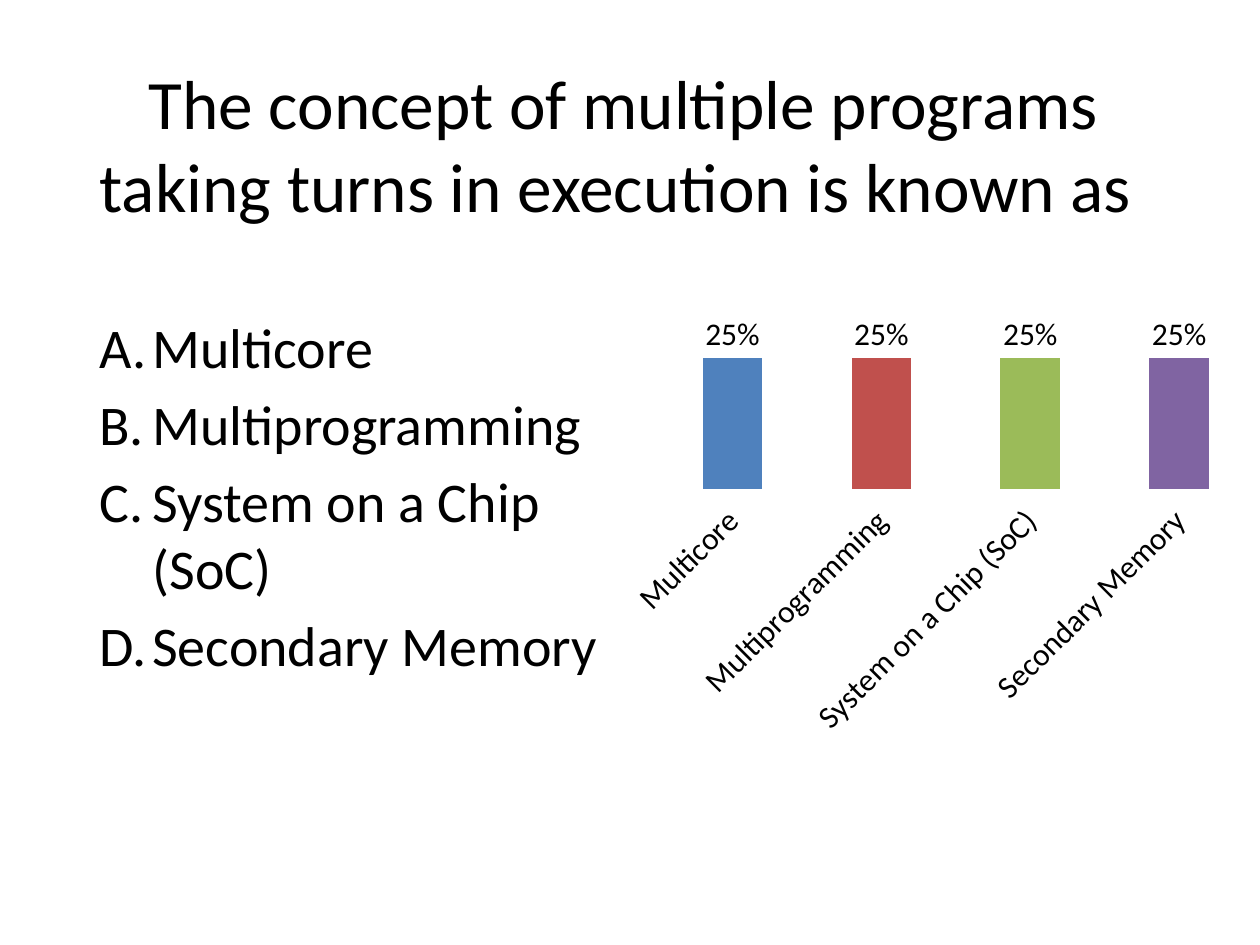
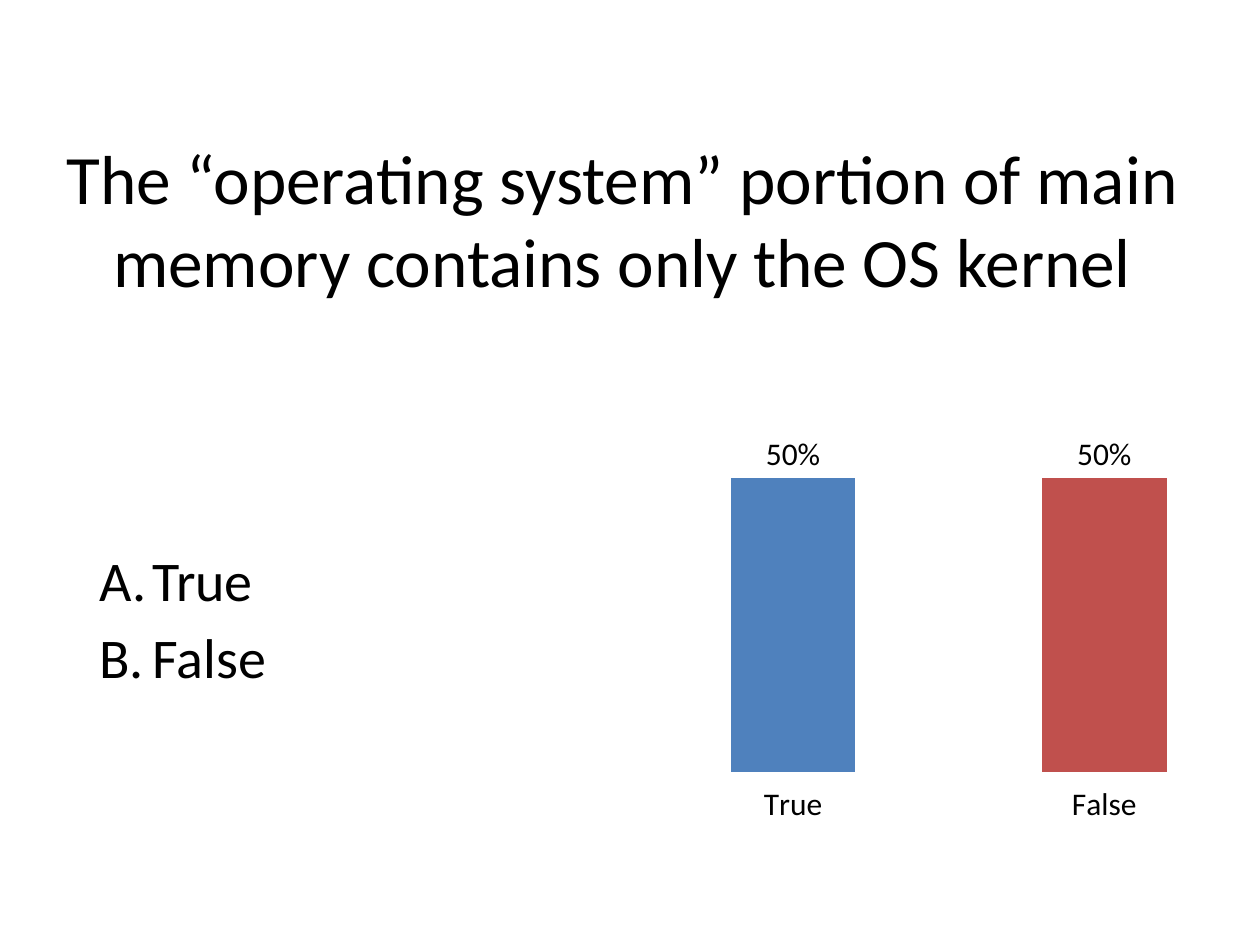
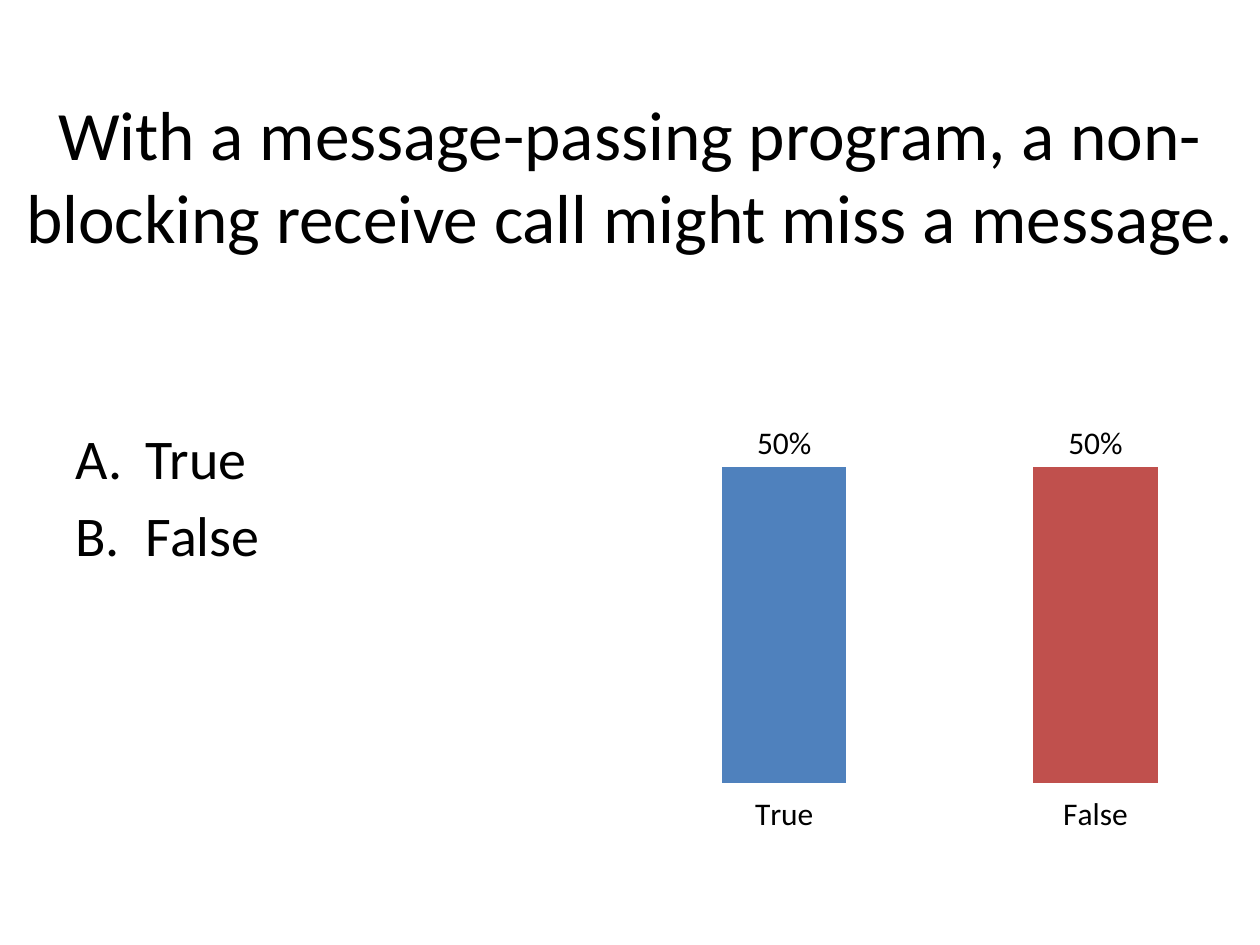
from lxml import etree
from pptx import Presentation
from pptx.chart.data import CategoryChartData
from pptx.dml.color import RGBColor
from pptx.enum.chart import XL_CHART_TYPE, XL_LABEL_POSITION, XL_TICK_LABEL_POSITION
from pptx.enum.text import MSO_ANCHOR, PP_ALIGN
from pptx.oxml.ns import qn
from pptx.util import Inches, Pt

COLUMN = XL_CHART_TYPE.COLUMN_CLUSTERED
OUTSIDE = XL_LABEL_POSITION.OUTSIDE_END
HIDDEN = XL_TICK_LABEL_POSITION.NONE
MIDDLE = MSO_ANCHOR.MIDDLE
CENTER = PP_ALIGN.CENTER

FONT = "Calibri"
INK = "000000"
BARS = ["4F81BD", "C0504D", "9BBB59", "8064A2"]
TITLE_SIZE, BODY_SIZE, CHART_SIZE = 39.6, 32, 18
PLOT = {"xMode": "edge", "yMode": "edge", "x": 0.01, "y": 0.07, "w": 0.99, "h": 0.76}

POLLS = [
    {
        "title": "The concept of multiple programs taking turns in execution is known as ",
        "title_box": (0.45, 0.51, 9, 1.25),
        "answers": ["Multicore", "Multiprogramming", "System on a Chip (SoC)", "Secondary Memory"],
        "body_box": (0.69, 2.43, 4.31, 3.57),
        "chart_box": (4.95, 2.34, 5, 4.22),
        "tilt": -45,
    },
    {
        "title": "The “operating system” portion of main memory contains only the OS kernel",
        "title_box": (0.2, 0.71, 9.48, 2.72),
        "title_foot": 0.72,
        "answers": ["True", "False"],
        "body_box": (0.69, 4.28, 4.31, 1.72),
        "chart_box": (5, 3.03, 5, 4.22),
    },
    {
        "title": "With a message-passing program, a non-blocking receive call might miss a message.",
        "title_box": (0, 0.66, 10, 1.45),
        "answers": ["True", "False"],
        "body_box": (0.5, 3.31, 4.5, 3.39),
        "indent": 0.56,
        "chart_box": (4.93, 2.89, 5, 4.49),
    },
]


def color(code):
    return RGBColor.from_string(code)


def style(font, size):
    for name, value in {"name": FONT, "size": Pt(size)}.items():
        setattr(font, name, value)
    font.color.rgb = color(INK)


def add_frame(slide, box):
    frame = slide.shapes.add_textbox(*map(Inches, box)).text_frame
    frame.word_wrap = True
    return frame


def add_title(slide, box, text, foot=0.05):
    frame = add_frame(slide, box)
    frame.vertical_anchor = MIDDLE
    frame.margin_bottom = Inches(foot)
    para = frame.paragraphs[0]
    para.text = text
    para.alignment = CENTER
    style(para.font, TITLE_SIZE)


def add_answers(slide, box, answers, indent=0.42):
    frame = add_frame(slide, box)
    for i, answer in enumerate(answers):
        para = frame.add_paragraph() if i else frame.paragraphs[0]
        para.text = answer
        if i:
            para.space_before = Pt(5.5)
        props = para._p.get_or_add_pPr()
        props.set("marL", str(Inches(indent)))
        props.set("indent", str(-Inches(indent)))
        etree.SubElement(props, qn("a:buAutoNum"), type="alphaUcPeriod")
        style(para.font, BODY_SIZE)


def place_plot(chart):
    """Fix the outer bounds of the plot, axis labels included."""
    area = chart._chartSpace.chart.plotArea
    for old in area.findall(qn("c:layout")):
        area.remove(old)
    layout = etree.Element(qn("c:layout"))
    area.insert(0, layout)
    manual = etree.SubElement(layout, qn("c:manualLayout"))
    for tag, value in {"layoutTarget": "outer", **PLOT}.items():
        etree.SubElement(manual, qn("c:" + tag), val=str(value))


def add_votes(slide, box, answers, tilt=0):
    """Chart an equal share of the votes for each answer."""
    share = 1 / len(answers)
    data = CategoryChartData(number_format="0%")
    data.categories = answers
    data.add_series("Series 1", [share] * len(answers))
    chart = slide.shapes.add_chart(COLUMN, *map(Inches, box), data).chart
    chart.has_legend = chart.has_title = False
    style(chart.font, CHART_SIZE)
    place_plot(chart)

    scale = {"minimum_scale": 0, "maximum_scale": round(share * 1.2, 2),
             "has_major_gridlines": False, "tick_label_position": HIDDEN}
    for name, value in scale.items():
        setattr(chart.value_axis, name, value)
    for axis in (chart.category_axis, chart.value_axis):
        axis.format.line.fill.background()
    if tilt:
        style(chart.category_axis.tick_labels.font, CHART_SIZE)
        body = chart.category_axis._element.find(qn("c:txPr")).find(qn("a:bodyPr"))
        body.set("rot", str(tilt * 60000))

    plot = chart.plots[0]
    for name, value in {"gap_width": 150, "vary_by_categories": True, "has_data_labels": True}.items():
        setattr(plot, name, value)
    labels = {"show_value": True, "number_format": "0%",
              "number_format_is_linked": False, "position": OUTSIDE}
    for name, value in labels.items():
        setattr(plot.data_labels, name, value)
    for i in range(len(answers)):
        fill = plot.series[0].points[i].format.fill
        fill.solid()
        fill.fore_color.rgb = color(BARS[i])


def add_poll(deck, poll):
    slide = deck.slides.add_slide(deck.slide_layouts[6])
    answers = poll["answers"]
    add_votes(slide, poll["chart_box"], answers, poll.get("tilt", 0))
    add_title(slide, poll["title_box"], poll["title"], poll.get("title_foot", 0.05))
    add_answers(slide, poll["body_box"], answers, poll.get("indent", 0.42))


def main():
    deck = Presentation()
    deck.slide_width, deck.slide_height = Inches(10), Inches(7.5)
    for poll in POLLS:
        add_poll(deck, poll)
    deck.save("out.pptx")


if __name__ == "__main__":
    main()
